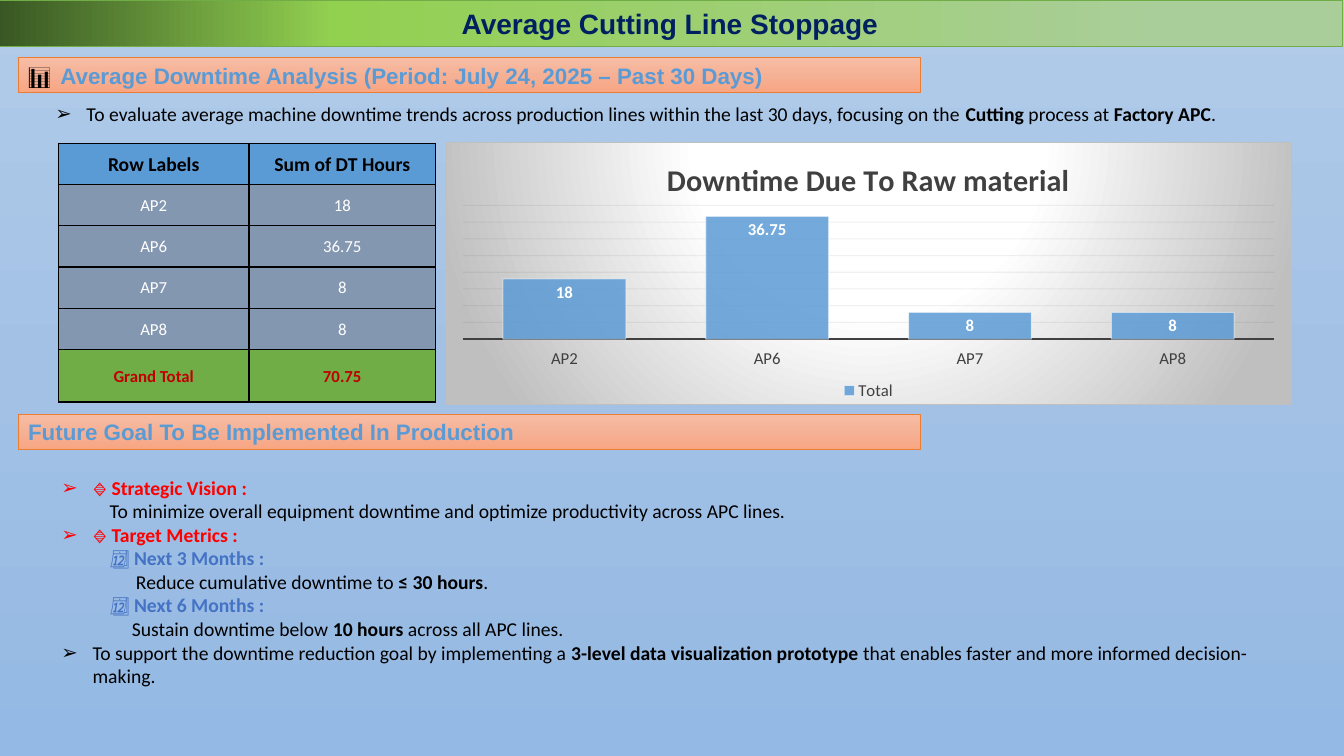
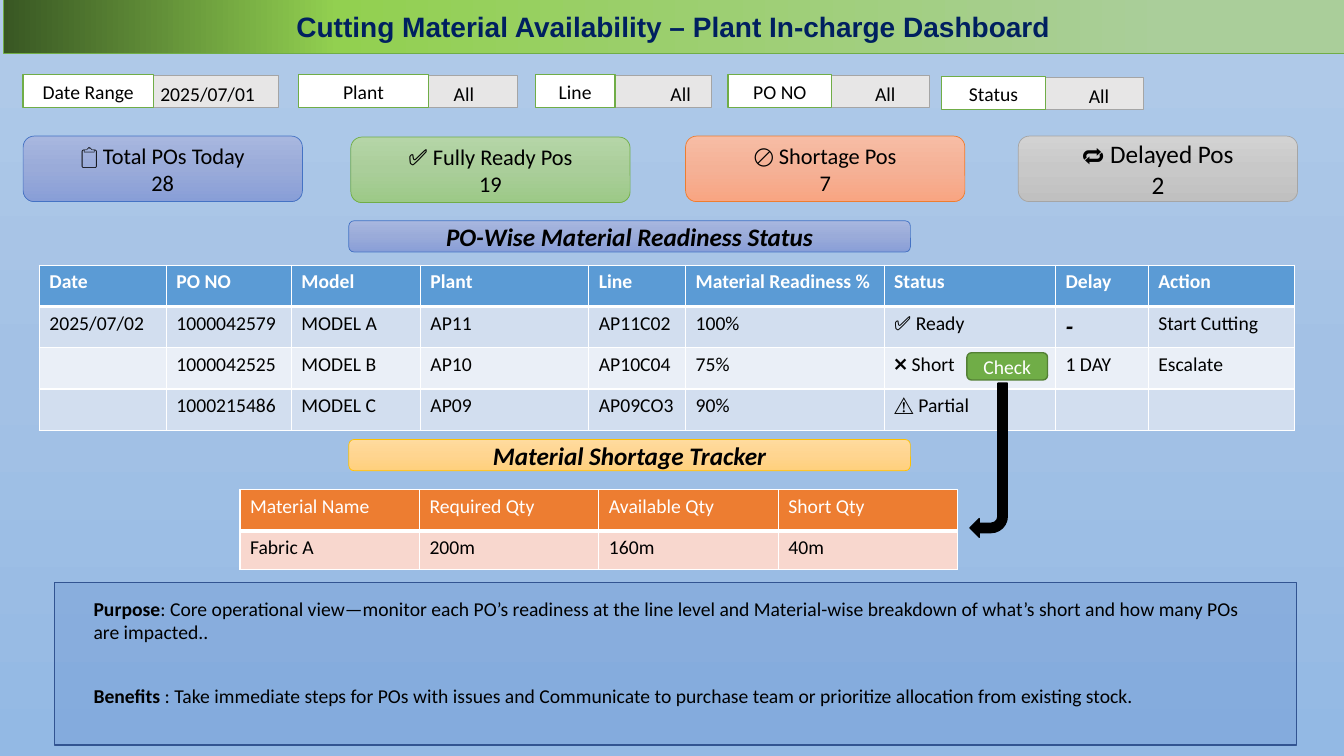
from lxml import etree
from pptx import Presentation
from pptx.chart.data import CategoryChartData
from pptx.dml.color import RGBColor
from pptx.enum.chart import XL_CHART_TYPE, XL_LABEL_POSITION, XL_LEGEND_POSITION, XL_TICK_LABEL_POSITION, XL_TICK_MARK
from pptx.enum.shapes import MSO_SHAPE
from pptx.enum.text import MSO_ANCHOR, PP_ALIGN
from pptx.oxml import parse_xml
from pptx.oxml.ns import nsdecls, qn
from pptx.util import Inches, Pt

RECT, ROUND, BENT = MSO_SHAPE.RECTANGLE, MSO_SHAPE.ROUNDED_RECTANGLE, MSO_SHAPE.BENT_ARROW
LEFT, CENTER = PP_ALIGN.LEFT, PP_ALIGN.CENTER
TOP, MIDDLE = MSO_ANCHOR.TOP, MSO_ANCHOR.MIDDLE
COLUMNS = XL_CHART_TYPE.COLUMN_CLUSTERED
INSIDE_END = XL_LABEL_POSITION.INSIDE_END
LEGEND_BOTTOM = XL_LEGEND_POSITION.BOTTOM
LABELS_LOW = XL_TICK_LABEL_POSITION.LOW
NO_TICK = XL_TICK_MARK.NONE

COLORS = {
    "black": "000000", "white": "FFFFFF", "navy": "002060", "red": "FF0000",
    "dark_red": "C00000", "blue": "4472C4", "sky": "5B9BD5", "green": "70AD47",
    "dark_green": "538035", "orange": "ED7D31", "gold": "FFC000", "gray": "A5A5A5",
    "silver": "BFBFBF", "light_gray": "E7E6E6", "charcoal": "404040", "ink": "0D0D0D",
    "slate": "8497B0", "dark_blue": "325491", "row_dark": "D2DEEF",
    "row_light": "EAEFF7", "peach": "F8D7CE",
}
GRADIENTS = {
    "page": [(0, "B1CBE9"), (50, "A3C1E5"), (100, "93B9E4")],
    "title": [(13, "AACE9A"), (75, "92D050"), (100, "385723")],
    "heading": [(0, "4472C4"), (50, "5B9BD5"), (100, "70AD47")],
    "blue": [(0, "A8B7DF"), (50, "9AABD9"), (100, "889ED7")],
    "green": [(0, "B5D5A7"), (50, "AACE9A"), (100, "9CC987")],
    "orange": [(0, "F7BDA5"), (50, "F5B196"), (100, "F8A582")],
    "gray": [(0, "D2D2D2"), (50, "C8C8C8"), (100, "C0C0C0")],
    "gold": [(0, "FFDB9E"), (50, "FFD590"), (100, "FFD07C")],
    "chart": [(0, "FFFFFF"), (39, "FFFFFF"), (100, "BFBFBF")],
}
LINEAR = '<a:lin ang="{}" scaled="0"/>'
RADIAL = '<a:path path="circle"><a:fillToRect l="50000" t="-80000" r="50000" b="180000"/></a:path>'


def rgb(name):
    return RGBColor.from_string(COLORS[name])


def inches(values):
    return [Inches(value) for value in values]


def gradient_xml(name, direction):
    stops = "".join(f'<a:gs pos="{pos * 1000}"><a:srgbClr val="{color}"/></a:gs>'
                    for pos, color in GRADIENTS[name])
    return f'<a:gradFill {nsdecls("a")} rotWithShape="1"><a:gsLst>{stops}</a:gsLst>{direction}</a:gradFill>'


def paint(fill, owner, name, angle=90):
    fill.solid()
    fill.fore_color.rgb = rgb("white")
    gradient = parse_xml(gradient_xml(name, LINEAR.format(angle * 60000)))
    owner.replace(owner.find(qn("a:solidFill")), gradient)


def set_opacity(owner, percent):
    color = owner.find(qn("a:solidFill")).find(qn("a:srgbClr"))
    etree.SubElement(color, qn("a:alpha")).set("val", str(percent * 1000))


def style_font(font, size, color="black", bold=False, italic=False, face="Calibri"):
    font.name, font.size, font.bold, font.italic = face, Pt(size), bold, italic
    font.color.rgb = rgb(color)


def write(paragraph, text, size=14, align=LEFT, **look):
    paragraph.alignment = align
    style_font(paragraph.font, size, **look)
    for index, piece in enumerate(text.split("**")):
        if piece:
            run = paragraph.add_run()
            run.text = piece
            if "**" in text:
                run.font.bold = index % 2 == 1


def add_block(slide, box, line, fill=None, gradient=None, preset=RECT, weight=0.5, angle=90):
    block = slide.shapes.add_shape(preset, *inches(box))
    block.shadow.inherit = False
    if gradient:
        paint(block.fill, block._element.spPr, gradient, angle)
    else:
        block.fill.solid()
        block.fill.fore_color.rgb = rgb(fill)
    block.line.color.rgb = rgb(line)
    block.line.width = Pt(weight)
    return block


def add_text(slide, box):
    frame = slide.shapes.add_textbox(*inches(box)).text_frame
    frame.word_wrap = True
    return frame


def add_bullet(paragraph):
    props = paragraph._p.get_or_add_pPr()
    props.set("marL", str(Inches(0.31)))
    props.set("indent", str(-Inches(0.31)))
    etree.SubElement(props, qn("a:buFont")).set("typeface", "Arial")
    etree.SubElement(props, qn("a:buChar")).set("char", "➢")


def new_slide(deck, title, title_box):
    slide = deck.slides.add_slide(deck.slide_layouts[6])
    fill = slide.background.fill
    fill.solid()
    paint(fill, slide._element.find(".//" + qn("p:bgPr")), "page")
    band = add_block(slide, title_box, "green", gradient="title", angle=180)
    write(band.text_frame.paragraphs[0], title, 20, CENTER, color="navy", bold=True, face="Arial")
    return slide


def add_section(slide, top, heading, icon=None):
    band = add_block(slide, (0.18, top, 8.95, 0.35), "orange", gradient="orange")
    paragraph = band.text_frame.paragraphs[0]
    if icon:
        tabs = etree.SubElement(paragraph._p.get_or_add_pPr(), qn("a:tabLst"))
        stop = etree.SubElement(tabs, qn("a:tab"))
        stop.set("pos", str(Inches(0.32)))
        stop.set("algn", "l")
        write(paragraph, icon + "\t", 16)
    paragraph.alignment = LEFT
    run = paragraph.add_run()
    run.text = heading
    style_font(run.font, 16, bold=True, face="Arial")
    paint(run.font.fill, run._r.rPr, "heading")


def set_borders(cell, color, bottom):
    props = cell._tc.get_or_add_tcPr()
    for index, (side, weight) in enumerate(zip("LRTB", (1, 1, 1, bottom))):
        props.insert(index, parse_xml(
            f'<a:ln{side} {nsdecls("a")} w="{Pt(weight)}"><a:solidFill>'
            f'<a:srgbClr val="{COLORS[color]}"/></a:solidFill></a:ln{side}>'))


def add_grid(slide, corner, widths, heights, rows, looks, border="white",
             header_bottom=3, align=LEFT, anchor=TOP, inset=None):
    size = (sum(widths), sum(heights))
    table = slide.shapes.add_table(len(rows), len(widths), *inches(corner + size)).table
    for column, width in zip(table.columns, widths):
        column.width = Inches(width)
    for number, (row, height, texts, (fill, look)) in enumerate(zip(table.rows, heights, rows, looks)):
        row.height = Inches(height)
        for cell, text in zip(row.cells, texts):
            cell.fill.solid()
            cell.fill.fore_color.rgb = rgb(fill)
            cell.vertical_anchor = anchor
            if inset is not None:
                cell.margin_left = cell.margin_right = cell.margin_top = Inches(inset)
                cell.margin_bottom = 0
            accent = {"size": 18, "bold": True, "italic": True} if text == "-" else {}
            write(cell.text_frame.paragraphs[0], text, align=align, **{**look, **accent})
            set_borders(cell, border, 1 if number else header_bottom)


def add_downtime_chart(slide, box, downtime):
    data = CategoryChartData()
    data.categories = list(downtime)
    data.add_series("Total", downtime.values())
    chart = slide.shapes.add_chart(COLUMNS, *inches(box), data).chart
    style_font(chart.font, 12, "charcoal")

    chart.has_title = True
    write(chart.chart_title.text_frame.paragraphs[0], "Downtime Due To Raw material",
          21.6, CENTER, color="charcoal", bold=True)
    chart.chart_title.include_in_layout = False
    chart.has_legend = True
    chart.legend.position = LEGEND_BOTTOM
    chart.legend.include_in_layout = False
    style_font(chart.legend.font, 12, "charcoal")

    lines = chart.category_axis
    lines.major_tick_mark = NO_TICK
    lines.tick_label_position = LABELS_LOW
    style_font(lines.tick_labels.font, 12, "charcoal")
    lines.format.line.color.rgb = rgb("charcoal")
    lines.format.line.width = Pt(1.5)
    hours = chart.value_axis
    hours.visible = False
    hours.minimum_scale, hours.maximum_scale, hours.major_unit = 0, 40, 5
    hours.has_major_gridlines = True
    grid = hours.major_gridlines.format.line
    grid.color.rgb = rgb("ink")
    grid.width = Pt(0.75)
    set_opacity(hours.major_gridlines._xAx.find(".//" + qn("a:ln")), 5)

    plot = chart.plots[0]
    plot.gap_width = 65
    plot.vary_by_categories = False
    total = plot.series[0]
    total.format.fill.solid()
    total.format.fill.fore_color.rgb = rgb("sky")
    total.format.line.color.rgb = rgb("white")
    total.format.line.width = Pt(0.75)
    bars = total._element.find(qn("c:spPr"))
    set_opacity(bars, 85)
    set_opacity(bars.find(qn("a:ln")), 50)
    labels = total.data_labels
    labels.show_value = True
    labels.position = INSIDE_END
    style_font(labels.font, 12, "white", bold=True)

    area = chart._chartSpace.find(".//" + qn("c:plotArea"))
    for layout in area.findall(qn("c:layout")):
        area.remove(layout)
    spots = "".join(f'<c:{key} val="{value}"/>' for key, value in (
        ("layoutTarget", "inner"), ("xMode", "edge"), ("yMode", "edge"),
        ("x", 0.02), ("y", 0.24), ("w", 0.96), ("h", 0.51)))
    area.insert(0, parse_xml(
        f'<c:layout {nsdecls("c")}><c:manualLayout>{spots}</c:manualLayout></c:layout>'))
    chart._chartSpace.find(qn("c:txPr")).addprevious(parse_xml(
        f'<c:spPr {nsdecls("c", "a")}>{gradient_xml("chart", RADIAL)}<a:ln w="{Pt(0.75)}">'
        f'<a:solidFill><a:srgbClr val="{COLORS["silver"]}"/></a:solidFill></a:ln></c:spPr>'))


def add_goals(slide, box):
    goals = [
        (None, "🔹 Strategic Vision :", {"color": "red", "bold": True}),
        (0.48, "To minimize overall equipment downtime and optimize productivity across APC lines.", {}),
        (None, "🔹 Target Metrics :", {"color": "red", "bold": True}),
        (0.48, "📆 **Next 3 Months :**", {"color": "blue"}),
        (0.74, "Reduce cumulative downtime to **≤ 30 hours**.", {}),
        (0.48, "📆 **Next 6 Months :**", {"color": "blue"}),
        (0.7, "Sustain downtime below **10 hours** across all APC lines.", {}),
        (None, "To support the downtime reduction goal by implementing a **3-level data visualization "
               "prototype** that enables faster and more informed decision-making.", {}),
    ]
    frame = add_text(slide, box)
    for index, (indent, text, look) in enumerate(goals):
        paragraph = frame.add_paragraph() if index else frame.paragraphs[0]
        if indent is None:
            add_bullet(paragraph)
        else:
            paragraph._p.get_or_add_pPr().set("marL", str(Inches(indent)))
        write(paragraph, text, **look)


def build_stoppage(deck):
    slide = new_slide(deck, "Average Cutting Line Stoppage", (-0.02, 0, 13.33, 0.46))
    add_section(slide, 0.57, "Average Downtime Analysis (Period: July 24, 2025 – Past 30 Days)", "📊")
    aim = add_text(slide, (0.45, 0.96, 12.03, 0.34)).paragraphs[0]
    add_bullet(aim)
    write(aim, "To evaluate average machine downtime trends across production lines within the last "
               "30 days, focusing on the **Cutting** process at **Factory APC**.")
    downtime = {"AP2": 18, "AP6": 36.75, "AP7": 8, "AP8": 8}
    rows = [("Row Labels", "Sum of DT Hours"), *((line, str(hours)) for line, hours in downtime.items()),
            ("Grand Total", str(sum(downtime.values())))]
    looks = [("sky", {"bold": True}), *[("slate", {"size": 12, "color": "white"})] * 4,
             ("green", {"size": 12, "color": "dark_red", "bold": True})]
    add_grid(slide, (0.58, 1.42), (1.89, 1.85), [0.41] * 5 + [0.52], rows, looks,
             "black", 1, CENTER, MIDDLE, 0.01)
    add_downtime_chart(slide, (4.42, 1.41, 8.39, 2.61), downtime)
    add_section(slide, 4.11, "Future Goal To Be Implemented In Production")
    add_goals(slide, (0.51, 4.67, 12.29, 2.22))


def add_filter(slide, label, value, left, top, label_width, width, value_left):
    field = add_block(slide, (left, top + 0.01, width, 0.32), "gray", "light_gray")
    frame = field.text_frame
    frame.margin_left, frame.margin_right = Inches(value_left), 0
    frame.margin_top, frame.margin_bottom = Inches(0.04), 0
    write(frame.paragraphs[0], value)
    tag = add_block(slide, (left, top, label_width, 0.33), "green", "white", weight=1)
    write(tag.text_frame.paragraphs[0], label, align=CENTER)


def add_card(slide, left, top, tone, label, count, size):
    frame = add_block(slide, (left, top, 2.77, 0.65), tone, gradient=tone, preset=ROUND).text_frame
    write(frame.paragraphs[0], label, size, CENTER)
    write(frame.add_paragraph(), count, size, CENTER)


def add_banner(slide, top, tone, text):
    banner = add_block(slide, (3.46, top, 5.57, 0.31), tone, gradient=tone, preset=ROUND)
    write(banner.text_frame.paragraphs[0], text, 18, CENTER, bold=True, italic=True)


def add_notice(slide, left, top, width, height):
    panel = add_block(slide, (left, top, width, height), "dark_blue", "blue", weight=1)
    set_opacity(panel._element.spPr, 19)
    for offset, tall, text in (
            (0.09, 0.57, "**Purpose**: Core operational view—monitor each PO’s readiness at the line level and "
                         "Material-wise breakdown of what’s short and how many POs are impacted.."),
            (0.96, 0.34, "**Benefits** : Take immediate steps for POs with issues and Communicate to purchase "
                         "team or prioritize allocation from existing stock.")):
        write(add_text(slide, (left + 0.29, top + offset, 11.77, tall)).paragraphs[0], text)


def build_dashboard(deck):
    slide = new_slide(deck, "Cutting Material Availability – Plant In-charge Dashboard", (0.03, -0.01, 13.3, 0.54))
    for item in (("Date Range", "2025/07/01", 0.23, 0.74, 1.29, 2.53, 1.36),
                 ("Plant", "All", 2.96, 0.74, 1.29, 2.17, 1.54),
                 ("Line", "All", 5.31, 0.74, 0.79, 1.75, 1.34),
                 ("PO NO", "All", 7.22, 0.74, 1.03, 2, 1.46),
                 ("Status", "All", 9.34, 0.76, 1.03, 2, 1.46)):
        add_filter(slide, *item)
    for card in ((0.23, 1.35, "blue", "📋 Total POs Today", "28", 16),
                 (3.48, 1.36, "green", "✅ Fully Ready Pos", "19", 16),
                 (6.8, 1.35, "orange", "🚫 Shortage Pos", "7", 16),
                 (10.1, 1.35, "gray", "🔁 Delayed Pos", "2", 18)):
        add_card(slide, *card)
    add_banner(slide, 2.19, "blue", "PO-Wise Material Readiness Status")
    orders = [
        ("Date", "PO NO", "Model", "Plant", "Line", "Material Readiness %", "Status", "Delay", "Action"),
        ("2025/07/02", "1000042579", "MODEL A", "AP11", "AP11C02", "100%", "✅ Ready", "-", "Start Cutting"),
        ("", "1000042525", "MODEL B", "AP10", "AP10C04", "75%", "❌ Short", "1 DAY", "Escalate"),
        ("", "1000215486", "MODEL C", "AP09", "AP09CO3", "90%", "⚠ Partial", "", ""),
    ]
    add_grid(slide, (0.39, 2.63), (1.26, 1.24, 1.28, 1.67, 0.96, 1.97, 1.7, 0.92, 1.45), [0.41] * 4, orders,
             [("sky", {"color": "white", "bold": True}), ("row_dark", {}), ("row_light", {}), ("row_dark", {})])
    check = add_block(slide, (9.59, 3.5, 0.8, 0.27), "dark_green", "green", preset=ROUND, weight=1)
    write(check.text_frame.paragraphs[0], "Check", align=CENTER, color="white")
    add_banner(slide, 4.36, "gold", "Material Shortage Tracker")
    shortages = [("Material Name", "Required Qty", "Available Qty", "Short Qty"),
                 ("Fabric A", "200m", "160m", "40m")]
    add_grid(slide, (2.38, 4.86), [1.78] * 4, (0.41, 0.38), shortages,
             [("orange", {"color": "white"}), ("peach", {})])
    pointer = add_block(slide, (9.62, 3.8, 0.37, 1.53), "black", "black", preset=BENT, weight=1)
    pointer.rotation = 180
    add_notice(slide, 0.54, 5.78, 12.32, 1.61)


def main():
    deck = Presentation()
    deck.slide_width, deck.slide_height = inches((13.33, 7.5))
    build_stoppage(deck)
    build_dashboard(deck)
    deck.save("out.pptx")


if __name__ == "__main__":
    main()
